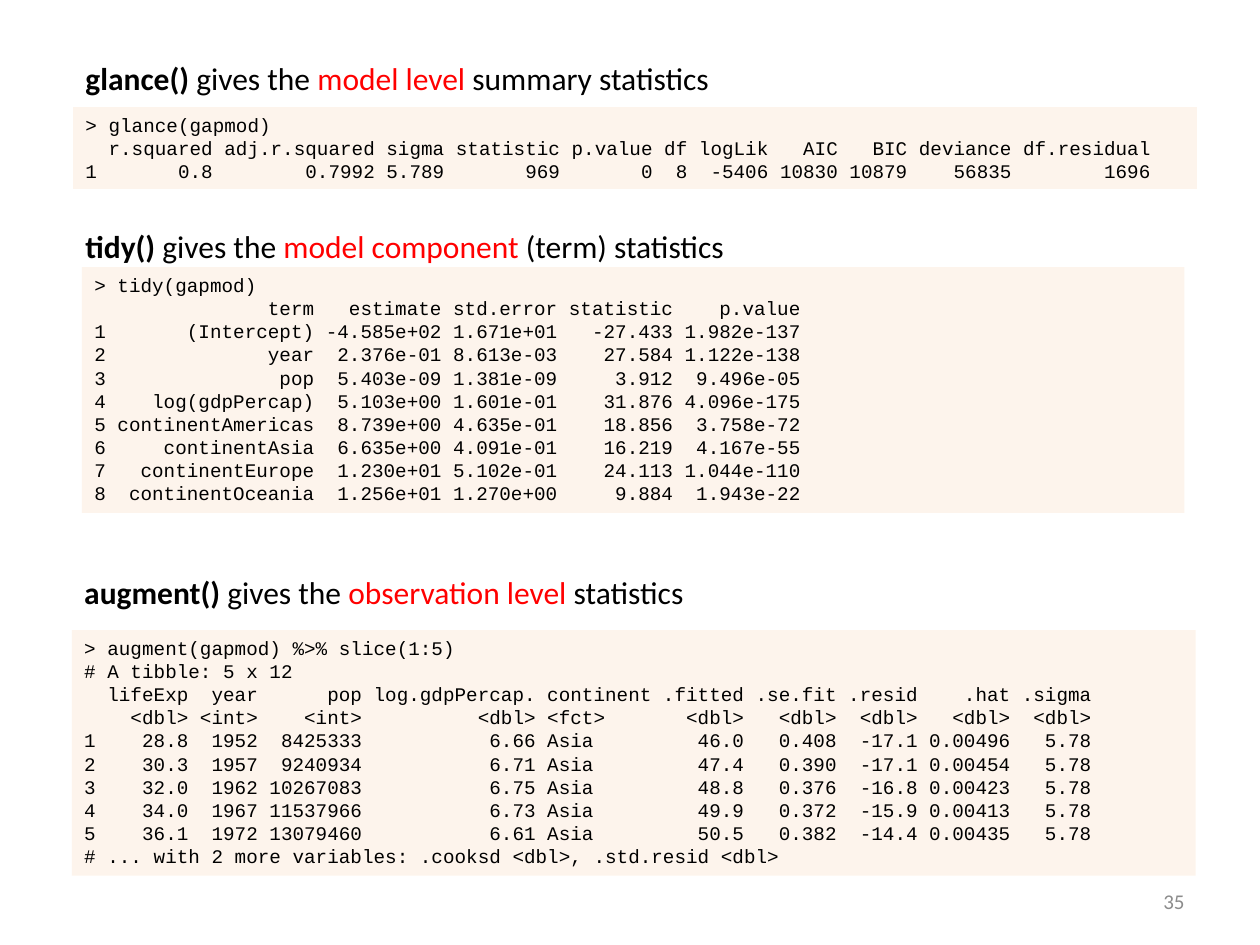
import pptx
import pptx.util
import pptx.dml.color
import pptx.enum.shapes
import pptx.enum.text
import pptx.oxml.ns
import lxml.etree

Inches = pptx.util.Inches
COLORS = {"text": "000000", "accent": "FF0000", "panel": "FDEADA", "number": "8C8C8C"}

GLANCE = """> glance(gapmod)
  r.squared adj.r.squared sigma statistic p.value df logLik   AIC   BIC deviance df.residual
1       0.8        0.7992 5.789       969       0  8  -5406 10830 10879    56835        1696"""

TIDY = """> tidy(gapmod)
               term   estimate std.error statistic    p.value
1       (Intercept) -4.585e+02 1.671e+01   -27.433 1.982e-137
2              year  2.376e-01 8.613e-03    27.584 1.122e-138
3               pop  5.403e-09 1.381e-09     3.912  9.496e-05
4    log(gdpPercap)  5.103e+00 1.601e-01    31.876 4.096e-175
5 continentAmericas  8.739e+00 4.635e-01    18.856  3.758e-72
6     continentAsia  6.635e+00 4.091e-01    16.219  4.167e-55
7   continentEurope  1.230e+01 5.102e-01    24.113 1.044e-110
8  continentOceania  1.256e+01 1.270e+00     9.884  1.943e-22"""

AUGMENT = """> augment(gapmod) %>% slice(1:5)
# A tibble: 5 x 12
  lifeExp  year      pop log.gdpPercap. continent .fitted .se.fit .resid    .hat .sigma
    <dbl> <int>    <int>          <dbl> <fct>       <dbl>   <dbl>  <dbl>   <dbl>  <dbl>
1    28.8  1952  8425333           6.66 Asia         46.0   0.408  -17.1 0.00496   5.78
2    30.3  1957  9240934           6.71 Asia         47.4   0.390  -17.1 0.00454   5.78
3    32.0  1962 10267083           6.75 Asia         48.8   0.376  -16.8 0.00423   5.78
4    34.0  1967 11537966           6.73 Asia         49.9   0.372  -15.9 0.00413   5.78
5    36.1  1972 13079460           6.61 Asia         50.5   0.382  -14.4 0.00435   5.78
# ... with 2 more variables: .cooksd <dbl>, .std.resid <dbl>"""

SECTIONS = [
    ("glance() ", "model level ", "summary statistics", GLANCE,
     (0.58, 0.42, 7.25, 0.4), (0.58, 0.85, 8.92, 0.65)),
    ("tidy() ", "model component ", "(term) statistics", TIDY,
     (0.58, 1.75, 8.82, 0.4), (0.65, 2.12, 8.75, 1.95)),
    ("augment() ", "observation level ", "statistics", AUGMENT,
     (0.57, 4.5, 8.92, 0.4), (0.57, 5, 8.92, 1.95)),
]


def add_span(para, text, font, size, color="text", bold=False):
    span = para.add_run()
    span.text = text
    span.font.name = font
    span.font.size = pptx.util.Pt(size)
    span.font.bold = bold
    span.font.color.rgb = pptx.dml.color.RGBColor.from_string(COLORS[color])


deck = pptx.Presentation()
deck.slide_width, deck.slide_height = Inches(10), Inches(7.5)
page = deck.slides.add_slide(deck.slide_layouts[6])

for function, level, ending, code, heading_area, code_area in SECTIONS:
    panel = page.shapes.add_shape(
        pptx.enum.shapes.MSO_SHAPE.RECTANGLE, *map(Inches, code_area))
    panel.shadow.inherit = False
    panel.line.fill.background()
    panel.fill.solid()
    panel.fill.fore_color.rgb = pptx.dml.color.RGBColor.from_string(COLORS["panel"])
    fill_color = panel.fill._xPr.find(".//" + pptx.oxml.ns.qn("a:srgbClr"))
    lxml.etree.SubElement(fill_color, pptx.oxml.ns.qn("a:alpha"), val="50000")
    frame = panel.text_frame
    frame.word_wrap = True
    frame.vertical_anchor = pptx.enum.text.MSO_ANCHOR.TOP
    for index, line in enumerate(code.split("\n")):
        para = frame.add_paragraph() if index else frame.paragraphs[0]
        para.alignment = pptx.enum.text.PP_ALIGN.LEFT
        add_span(para, line, "Courier New", 11)

    heading = page.shapes.add_textbox(*map(Inches, heading_area))
    heading.text_frame.word_wrap = True
    para = heading.text_frame.paragraphs[0]
    add_span(para, function, "Calibri", 18, bold=True)
    add_span(para, "gives the ", "Calibri", 18)
    add_span(para, level, "Calibri", 18, "accent")
    add_span(para, ending, "Calibri", 18)

number = page.shapes.add_textbox(Inches(7.17), Inches(6.95), Inches(2.33), Inches(0.4))
number.text_frame.word_wrap = True
number.text_frame.vertical_anchor = pptx.enum.text.MSO_ANCHOR.MIDDLE
para = number.text_frame.paragraphs[0]
para.alignment = pptx.enum.text.PP_ALIGN.RIGHT
add_span(para, "35", "Calibri", 12, "number")

deck.save("out.pptx")
